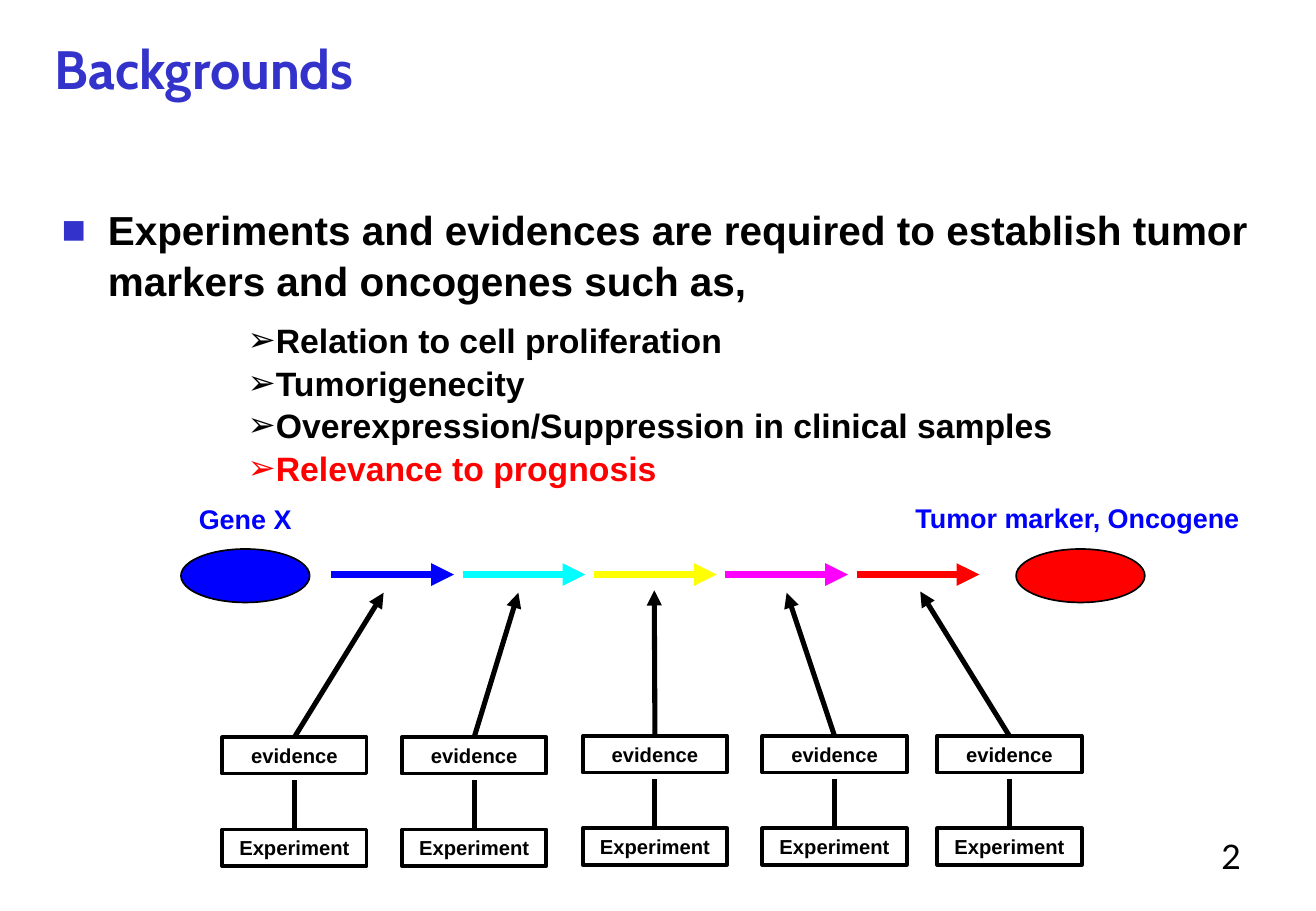
from pptx import Presentation
from pptx.dml.color import RGBColor
from pptx.enum.shapes import MSO_CONNECTOR as Link, MSO_SHAPE as Shape
from pptx.enum.text import MSO_ANCHOR as Anchor, PP_ALIGN as Align
from pptx.oxml.ns import qn
from pptx.util import Inches, Pt
from lxml.etree import SubElement

THEME = {
    "heading": "3333CC", "ink": "000000", "blue": "0000FF", "red": "FF0000",
    "steps": ["0000FF", "00FFFF", "FFFF00", "FF00FF", "FF0000"],
    "body_font": "Arial", "title_font": "Cabin", "number_font": "Lato",
    "title": 32, "body": 24, "list": 20, "label": 16, "box": 12,
    "line_spacing": 1.05,
}

deck = Presentation()
deck.slide_width, deck.slide_height = Inches(10.84), Inches(7.5)
page = deck.slides.add_slide(deck.slide_layouts[6])


def share(*percents):
    """Turn alternating percentages of slide width and height into lengths."""
    sides = (deck.slide_width, deck.slide_height)
    return [round(sides[i % 2] * p / 100) for i, p in enumerate(percents)]


def write(box, lines, size, font=THEME["body_font"], bold=True,
          align=Align.LEFT, bullet=None, indent=0, spacing=None, inset=True):
    """Fill a box with (text, text colour, bullet colour) lines."""
    frame = box.text_frame
    frame.word_wrap = True
    if not inset:
        frame.margin_left = frame.margin_top = frame.margin_right = frame.margin_bottom = 0
    for i, (text, color, mark_color) in enumerate(lines):
        para = frame.add_paragraph() if i else frame.paragraphs[0]
        para.alignment = align
        if spacing:
            para.line_spacing = spacing
        if bullet:
            props = para._p.get_or_add_pPr()
            props.set("marL", str(Inches(indent)))
            props.set("indent", str(-Inches(indent)))
            mark = SubElement(props, qn("a:buClr"))
            SubElement(mark, qn("a:srgbClr"), val=mark_color)
            SubElement(props, qn("a:buFont"), typeface=THEME["body_font"])
            SubElement(props, qn("a:buChar"), char=bullet)
        span = para.add_run()
        span.text = text
        span.font.name, span.font.size, span.font.bold = font, Pt(size), bold
        span.font.color.rgb = RGBColor.from_string(color)


# Title, slide number and main statement
ink = THEME["ink"]
write(page.shapes.add_textbox(*share(4.15, 3.87, 82.01, 13.6)),
      [("Backgrounds", THEME["heading"], None)],
      THEME["title"], font=THEME["title_font"], inset=False)
write(page.shapes.add_textbox(*share(78.23, 91.07, 16.97, 5.2)),
      [("2", ink, None)], THEME["list"], font=THEME["number_font"],
      bold=False, align=Align.RIGHT)
write(page.shapes.add_textbox(*share(3.78, 21.6, 92.8, 70)),
      [("Experiments and evidences are required to establish tumor markers "
        "and oncogenes such as,", ink, THEME["heading"])],
      THEME["body"], bullet="■", indent=0.38, spacing=THEME["line_spacing"])

# List of required evidence
points = [
    ("Relation to cell proliferation", ink),
    ("Tumorigenecity", ink),
    ("Overexpression/Suppression in clinical samples", ink),
    ("Relevance to prognosis", THEME["red"]),
]
write(page.shapes.add_textbox(*share(17.9, 34.27, 63.65, 19.2)),
      [(text, color, color) for text, color in points],
      THEME["list"], bullet="➢", spacing=THEME["line_spacing"])

# Start and end of the path, with labels
for left, color, label, label_place in [
    (13.75, THEME["blue"], "Gene X", (11.35, 54.53, 14.58, 4.93)),
    (77.21, THEME["red"], "Tumor marker, Oncogene", (64.76, 54.4, 34.23, 4.93)),
]:
    oval = page.shapes.add_shape(Shape.OVAL, *share(left, 60.27, 9.78, 5.87))
    oval.shadow.inherit = False
    oval.fill.solid()
    oval.fill.fore_color.rgb = RGBColor.from_string(color)
    oval.line.color.rgb = RGBColor.from_string(ink)
    oval.line.width = Pt(1)
    write(page.shapes.add_textbox(*share(*label_place)),
          [(label, THEME["blue"], None)], THEME["label"], align=Align.CENTER)

# Links: (ends, colour, width, has arrowhead, box joined at its top)
links = []
for i, color in enumerate(THEME["steps"]):
    start = 25.18 + 9.98 * i
    links.append(((start, 63.07, start + 9.32, 63.07), color, 4.5, True, None))

# Evidence and experiment boxes: (left, top, arrow tip)
box_width, box_height, row_step, gap = 10.98, 4, 10.13, 0.67
for left, top, tip in [
    (16.88, 80.93, (29.15, 65.07)),
    (30.54, 80.93, (39.39, 65.07)),
    (44.28, 80.8, (49.72, 64.8)),
    (57.93, 80.8, (59.78, 65.07)),
    (71.22, 80.8, (69.93, 64.93)),
]:
    middle = left + box_width / 2
    for row, (word, end, arrow) in enumerate([
        ("evidence", tip, True),
        ("Experiment", (middle, top + box_height + gap), False),
    ]):
        box_top = top + row * row_step
        box = page.shapes.add_shape(
            Shape.RECTANGLE, *share(left, box_top, box_width, box_height))
        box.shadow.inherit = False
        box.fill.background()
        box.line.color.rgb = RGBColor.from_string(ink)
        box.line.width = Pt(2.25)
        box.text_frame.vertical_anchor = Anchor.MIDDLE
        write(box, [(word, ink, None)], THEME["box"], align=Align.CENTER)
        links.append(((middle, box_top, *end), ink, 3, arrow, box))

# Draw every link
for ends, color, width, arrow, joined_box in links:
    link = page.shapes.add_connector(Link.STRAIGHT, *share(*ends))
    if joined_box:
        link.begin_connect(joined_box, 0)
    link.line.color.rgb = RGBColor.from_string(color)
    link.line.width = Pt(width)
    if arrow:
        SubElement(link.line._get_or_add_ln(), qn("a:tailEnd"), type="triangle")
    SubElement(link._element.spPr, qn("a:effectLst"))

deck.save("out.pptx")
